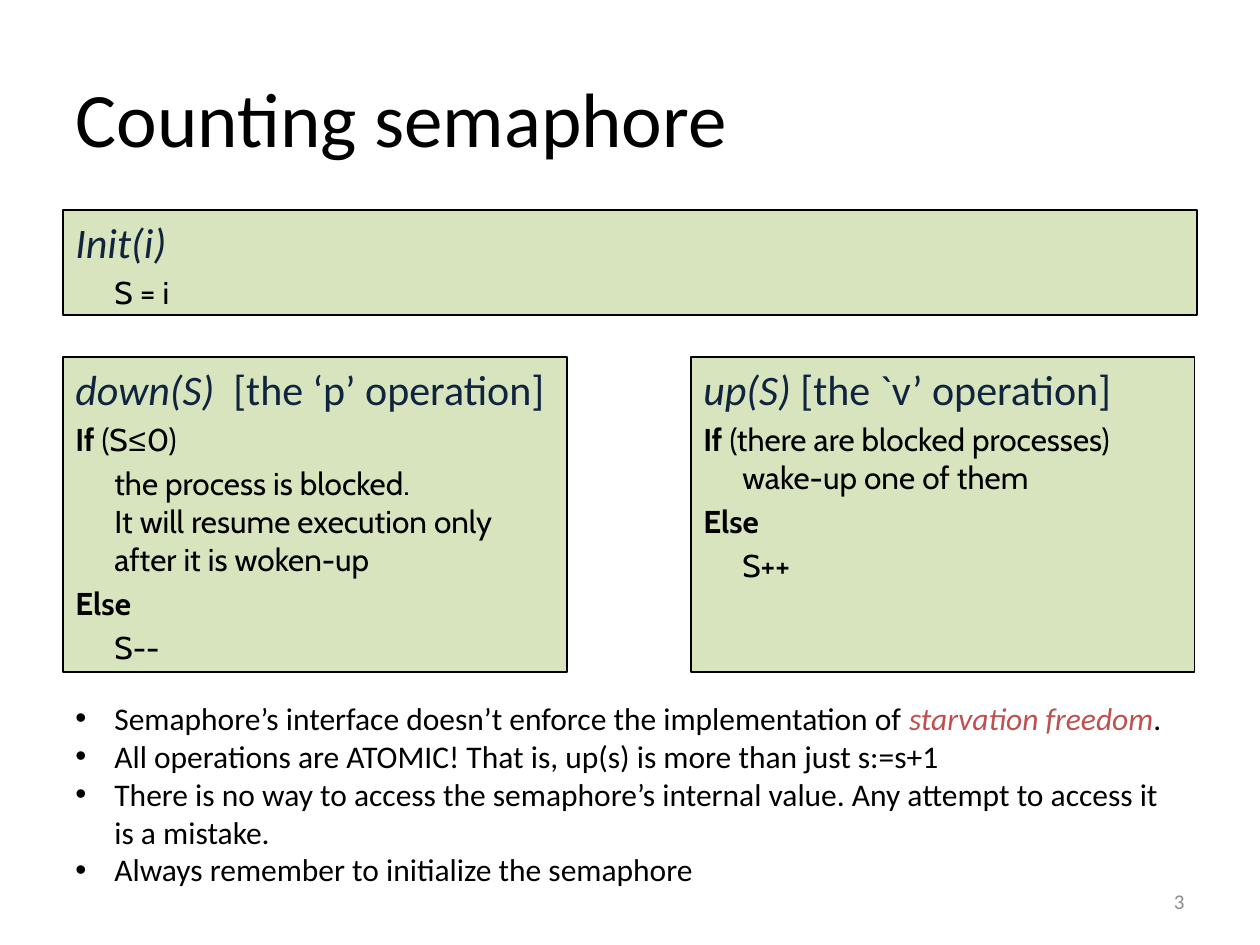
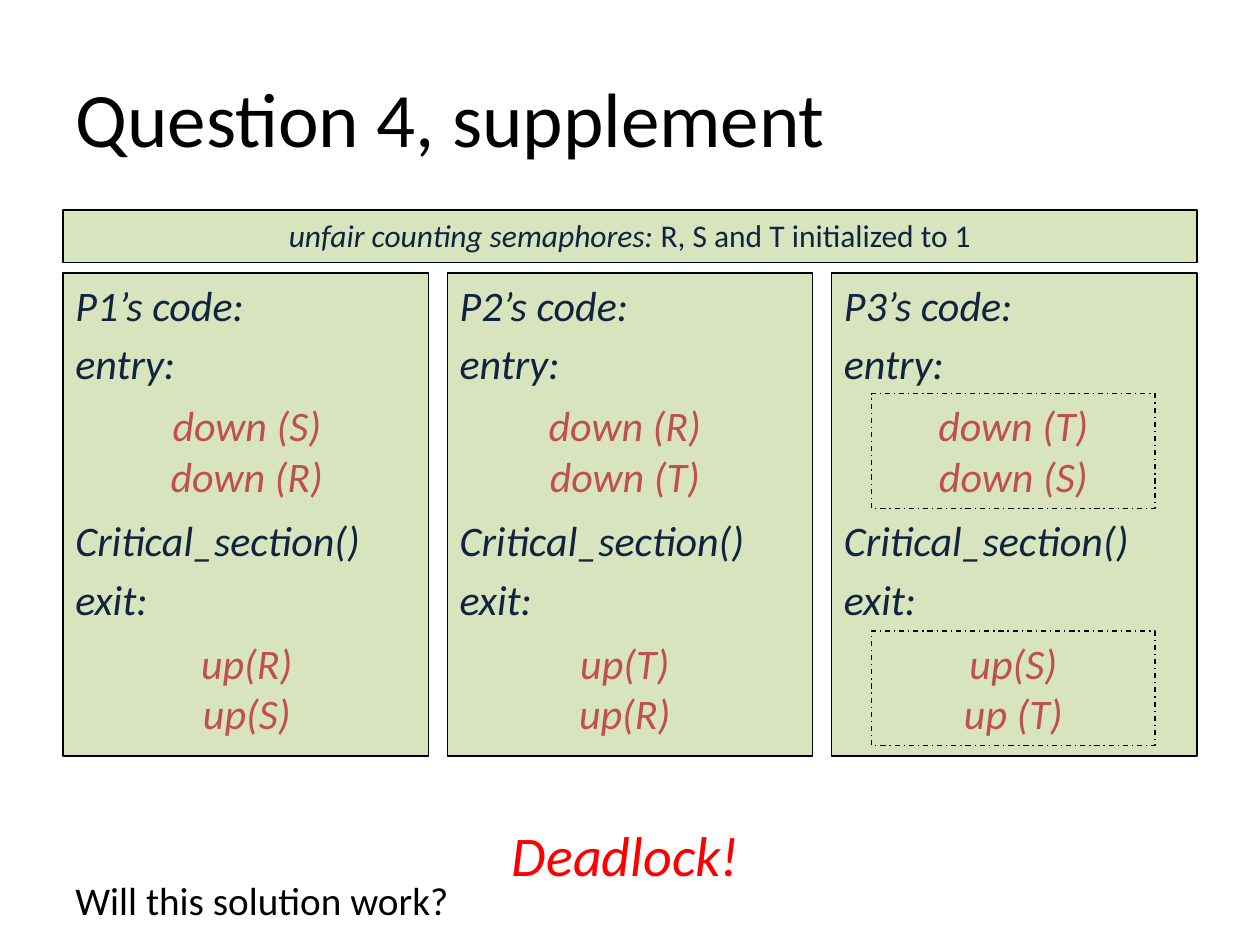
from dataclasses import dataclass, replace

from lxml.etree import SubElement
from pptx import Presentation
from pptx.dml.color import RGBColor
from pptx.enum.dml import MSO_LINE_DASH_STYLE as Dash
from pptx.enum.shapes import MSO_SHAPE as Preset
from pptx.enum.text import MSO_ANCHOR as Anchor, PP_ALIGN as Align
from pptx.oxml.ns import qn
from pptx.util import Inches, Pt

CELLS_PER_INCH = 12  # the slide is a grid of 120 columns by 90 rows
EDGE, FULL_WIDTH = 6, 108
INDENT = 0.31
PANEL_FILL, OUTLINE = "D7E4BD", "000000"
TITLE_ONLY = 5


@dataclass
class Style:
    size: float
    colour: str = "000000"
    font: str = "Calibri"
    bold: bool = False
    italic: bool = False


TITLE = Style(44)
PLAIN = Style(18)
HEADING = Style(24, "0F243E")
CALL = replace(HEADING, italic=True)
NOTE = replace(HEADING, size=18)
CODE = Style(18, font="Cabin")
KEYWORD = replace(CODE, bold=True)
SYMBOL = replace(CODE, font="Courier New")
OPERATION = replace(CALL, colour="C0504D")
EMPHASIS = replace(OPERATION, size=18)


@dataclass
class Line:
    """One paragraph: spans of (text, style), with indents in inches and space in points."""
    spans: list
    margin: float = 0
    hanging: float = 0
    before: float = 0
    align: Align = Align.LEFT
    bullet: bool = False


def rgb(hex_string):
    return RGBColor.from_string(hex_string)


def cells(*counts):
    return [Inches(count / CELLS_PER_INCH) for count in counts]


def format_span(span, style):
    font = span.font
    font.name, font.size = style.font, Pt(style.size)
    font.bold, font.italic = style.bold, style.italic
    font.color.rgb = rgb(style.colour)


def format_line(para, line):
    para.alignment = line.align
    para.space_before = Pt(line.before)
    properties = para._p.get_or_add_pPr()
    properties.set("marL", str(Inches(line.margin)))
    properties.set("indent", str(-Inches(line.hanging)))
    if line.bullet:
        SubElement(properties, qn("a:buFont"), typeface="Arial")
        SubElement(properties, qn("a:buChar"), char="•")
    for text, style in line.spans:
        span = para.add_run()
        span.text = text
        format_span(span, style)


def fill_text(box, lines, anchor=Anchor.TOP, wrap=True):
    frame = box.text_frame
    frame.word_wrap, frame.vertical_anchor = wrap, anchor
    for index, line in enumerate(lines):
        para = frame.add_paragraph() if index else frame.paragraphs[0]
        format_line(para, line)


def add_text(page, area, lines, **options):
    fill_text(page.shapes.add_textbox(*cells(*area)), lines, **options)


def add_panel(page, area, lines, outline=True, dash=None):
    panel = page.shapes.add_shape(Preset.RECTANGLE, *cells(*area))
    panel.shadow.inherit = False
    panel.fill.solid()
    panel.fill.fore_color.rgb = rgb(PANEL_FILL)
    if outline:
        panel.line.color.rgb = rgb(OUTLINE)
        panel.line.width = Pt(0.75)
        if dash:
            panel.line.dash_style = dash
    else:
        panel.line.fill.background()
    fill_text(panel, lines)


def add_page(deck, title):
    page = deck.slides.add_slide(deck.slide_layouts[TITLE_ONLY])
    box = page.shapes.title
    box.left, box.top, box.width, box.height = cells(EDGE, 3.6, FULL_WIDTH, 15)
    box.text_frame.text = title
    box.text_frame.vertical_anchor = Anchor.MIDDLE
    para = box.text_frame.paragraphs[0]
    para.alignment = Align.LEFT
    format_span(para.runs[0], TITLE)
    return page


def code(*spans, before=3.6):
    """An unindented statement whose wrapped lines are indented."""
    return Line(list(spans), INDENT, INDENT, before)


def nested(text, before=3.6):
    return Line([(text, CODE)], INDENT, before=before)


def bullet(*spans):
    return Line(list(spans), INDENT, INDENT, bullet=True)


def centred(*spans):
    return Line(list(spans), align=Align.CENTER)


def add_semaphore_page(deck):
    page = add_page(deck, "Counting semaphore")
    add_text(page, (86, 83.4, 28, 4.8),
             [Line([("3", Style(12, "8C8C8C"))], align=Align.RIGHT)], anchor=Anchor.MIDDLE)
    add_text(page, (EDGE, 66, FULL_WIDTH, 23), [
        bullet(("Semaphore’s interface doesn’t enforce the implementation of ", PLAIN),
               ("starvation freedom", EMPHASIS), (".", PLAIN)),
        bullet(("All operations are ATOMIC! That is, up(s) is more than just s:=s+1", PLAIN)),
        bullet(("There is no way to access the semaphore’s internal value. "
                "Any attempt to access it is a mistake.", PLAIN)),
        bullet(("Always remember to initialize the semaphore", PLAIN)),
    ])
    add_panel(page, (EDGE, 20, FULL_WIDTH, 10),
              [Line([("Init(i)", CALL)]), nested("S = i")])
    add_panel(page, (EDGE, 34, 48, 30), [
        Line([("down(S)", CALL), ("  [the ‘p’ operation]", HEADING)]),
        code(("If", KEYWORD), (" (S", CODE), ("≤", SYMBOL), ("0)", CODE)),
        nested("the process is blocked."),
        nested("It will resume execution only after it is woken-up", before=0),
        code(("Else", KEYWORD)),
        nested("S--"),
    ])
    add_panel(page, (65.8, 34, 48, 30), [
        Line([("up(S) ", CALL), ("[the `v’ operation]", HEADING)]),
        code(("If ", KEYWORD), ("(there are blocked processes) wake-up one of them", CODE)),
        code(("Else", KEYWORD)),
        nested("S++"),
    ])


def add_process(page, number, pair_left, entry, leave, dash):
    """A process panel with its entry and exit operations laid over the gaps."""
    step = 36.6
    gap_for_pair = 72
    steps = [(f"P{number}’s code:", 0), ("entry:", 4.8),
             ("Critical_section()", gap_for_pair), ("exit:", 4.8)]
    add_panel(page, (EDGE + step * (number - 1), 26, 34.8, 46),
              [Line([(text, CALL)], before=before) for text, before in steps])
    for top, operations in ((37.5, entry), (60.1, leave)):
        add_panel(page, (pair_left, top, 27, 10.9),
                  [centred((text, OPERATION)) for text in operations],
                  outline=bool(dash), dash=dash)


def add_question_page(deck):
    page = add_page(deck, "Question 4, supplement")
    add_text(page, (EDGE, 82.9, FULL_WIDTH, 5.8),
             [Line([("Will this solution work?", Style(22.4))])])
    add_panel(page, (EDGE, 20, FULL_WIDTH, 5), [
        centred(("unfair counting semaphores: ", replace(NOTE, italic=True)),
                ("R, S and T initialized to 1", NOTE))])
    processes = [
        (10, ("down (S)", "down (R)"), ("up(R)", "up(S)"), None),
        (46, ("down (R)", "down (T)"), ("up(T)", "up(R)"), None),
        (83, ("down (T)", "down (S)"), ("up(S)", "up (T)"), Dash.DASH_DOT),
    ]
    for number, process in enumerate(processes, start=1):
        add_process(page, number, *process)
    add_text(page, (47.4, 77.6, 24.4, 7.7),
             [centred(("Deadlock!", Style(32, "FF0000", italic=True)))], wrap=False)


def main():
    deck = Presentation()
    deck.slide_width, deck.slide_height = cells(120, 90)
    add_semaphore_page(deck)
    add_question_page(deck)
    deck.save("out.pptx")


if __name__ == "__main__":
    main()
